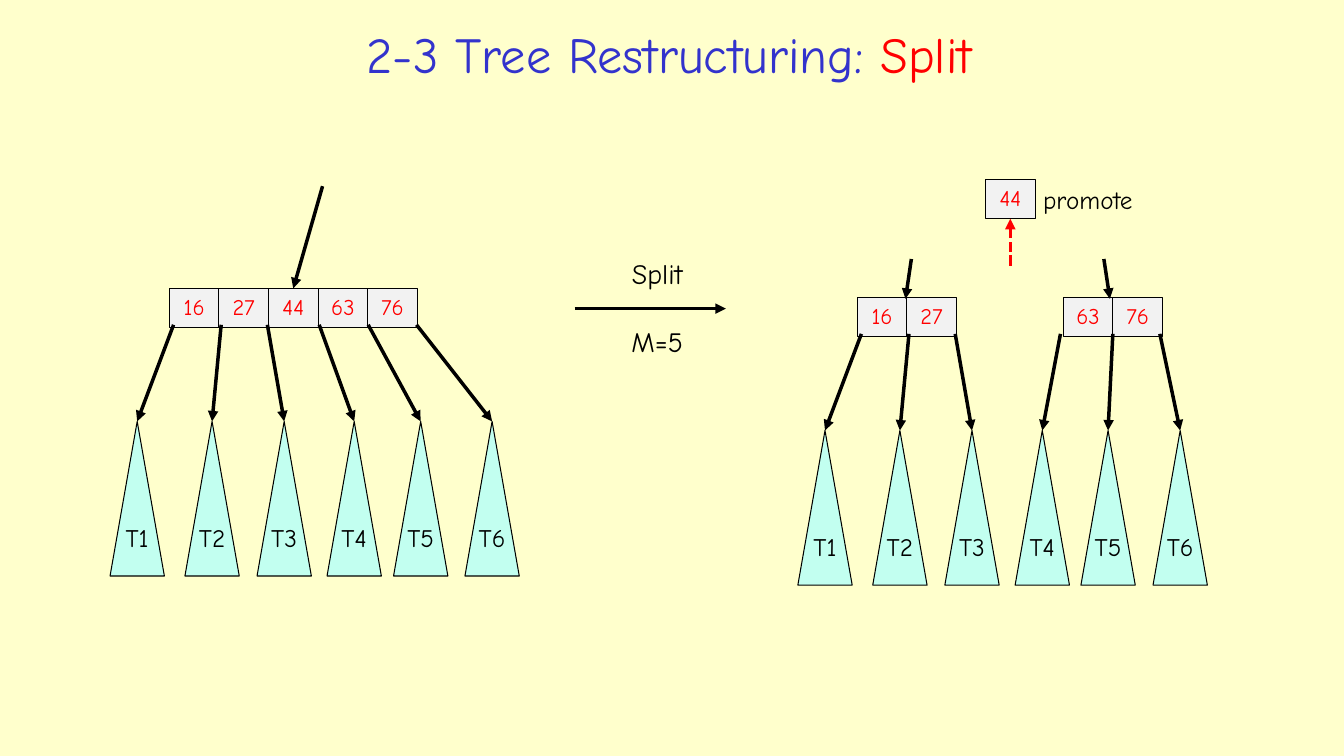
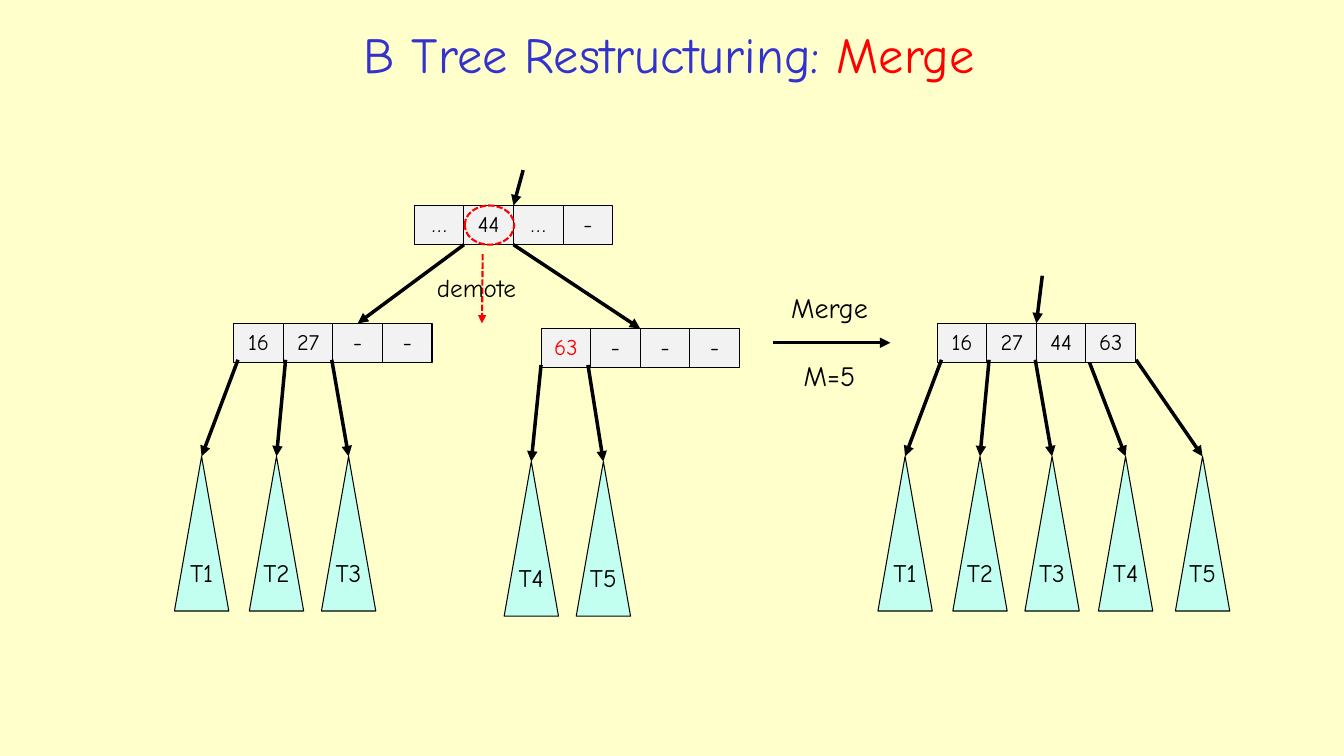
from dataclasses import dataclass

from lxml import etree
from pptx import Presentation
from pptx.dml.color import RGBColor
from pptx.enum.dml import MSO_LINE
from pptx.enum.shapes import MSO_CONNECTOR, MSO_SHAPE
from pptx.enum.text import MSO_ANCHOR, PP_ALIGN
from pptx.oxml.ns import qn
from pptx.util import Pt

STRAIGHT = MSO_CONNECTOR.STRAIGHT
RECTANGLE, TRIANGLE, OVAL = MSO_SHAPE.RECTANGLE, MSO_SHAPE.ISOSCELES_TRIANGLE, MSO_SHAPE.OVAL
DASH = MSO_LINE.SQUARE_DOT
LEFT, CENTER = PP_ALIGN.LEFT, PP_ALIGN.CENTER
TOP_ANCHOR, MIDDLE_ANCHOR = MSO_ANCHOR.TOP, MSO_ANCHOR.MIDDLE
TOP, BOTTOM = 0, 2
TITLE_ONLY = 5


@dataclass(frozen=True)
class Theme:
    font: str = "Comic Neue"
    background: str = "FFFFCC"
    title: str = "3333CC"
    accent: str = "FF0000"
    ink: str = "000000"
    key_fill: str = "F2F2F2"
    subtree_fill: str = "C2FFF0"
    title_size: float = 36
    step_size: float = 20
    label_size: float = 18
    key_size: float = 16
    outline: float = 0.75
    thin: float = 1.5
    thick: float = 2.5


THEME = Theme()
KEY_WIDTH, KEY_HEIGHT = 35.4, 28
SUBTREE_WIDTH, SUBTREE_HEIGHT = 38.8, 110.4
SUBTREE_DROP, POINTER_DROP = 95, 26

# Each child of a node: pointer start and subtree apex, measured from the node's left edge
FIRST_CHILDREN = ((3, -23), (37, 30.5), (70, 82))


@dataclass(frozen=True)
class Joint:
    """An arrow end fixed to a connection site of a shape."""
    shape: object
    site: int


def rgb(color):
    return RGBColor.from_string(color)


def write(text_frame, *paragraphs, size, color=THEME.ink, align=CENTER,
          anchor=TOP_ANCHOR, wrap=False, gap=0):
    """Fill a text frame; a paragraph is a string or a list of (text, color) runs."""
    text_frame.word_wrap = wrap
    text_frame.vertical_anchor = anchor
    for index, content in enumerate(paragraphs):
        paragraph = text_frame.add_paragraph() if index else text_frame.paragraphs[0]
        paragraph.alignment = align
        if index:
            paragraph.space_before = Pt(gap)
        runs = [(content, color)] if isinstance(content, str) else content
        for text, run_color in runs:
            run = paragraph.add_run()
            run.text = text
            run.font.name = THEME.font
            run.font.size = Pt(size)
            run.font.color.rgb = rgb(run_color)


def add_text(slide, left, top, width, height, *paragraphs, **text_format):
    box = slide.shapes.add_textbox(Pt(left), Pt(top), Pt(width), Pt(height))
    write(box.text_frame, *paragraphs, **text_format)


def add_shape(slide, kind, left, top, width, height, fill=None,
              line=THEME.ink, line_width=THEME.outline):
    shape = slide.shapes.add_shape(kind, Pt(left), Pt(top), Pt(width), Pt(height))
    shape.shadow.inherit = False
    if fill:
        shape.fill.solid()
        shape.fill.fore_color.rgb = rgb(fill)
    else:
        shape.fill.background()
    shape.line.color.rgb = rgb(line)
    shape.line.width = Pt(line_width)
    return shape


def add_arrow(slide, start, end, color=THEME.ink, width=THEME.thick, dash=None):
    """Draw an arrow between two ends, each a point or a Joint."""
    points = [(0, 0) if isinstance(place, Joint) else place for place in (start, end)]
    arrow = slide.shapes.add_connector(
        STRAIGHT, *(Pt(value) for point in points for value in point))
    if isinstance(start, Joint):
        arrow.begin_connect(start.shape, start.site)
    if isinstance(end, Joint):
        arrow.end_connect(end.shape, end.site)
    arrow.line.color.rgb = rgb(color)
    arrow.line.width = Pt(width)
    if dash:
        arrow.line.dash_style = dash
    line = arrow.line._get_or_add_ln()
    etree.SubElement(line, qn("a:tailEnd"), type="triangle")
    etree.SubElement(arrow._element.spPr, qn("a:effectLst"))


def add_keys(slide, left, top, keys, color):
    """Draw a row of key cells and return the cells."""
    cells = []
    for index, key in enumerate(keys):
        cell = add_shape(slide, RECTANGLE, left + index * KEY_WIDTH, top,
                         KEY_WIDTH, KEY_HEIGHT, THEME.key_fill)
        key_color = THEME.accent if key == "63" else color
        write(cell.text_frame, key, size=THEME.key_size, color=key_color, wrap=True)
        cells.append(cell)
    return cells


def add_node(slide, left, top, keys, children, first=1, color=THEME.ink):
    """Draw a node with its subtrees, numbered from first, and return its key cells."""
    cells = add_keys(slide, left, top, keys, color)
    for number, (start, apex) in enumerate(children, first):
        subtree = add_shape(slide, TRIANGLE, left + apex - SUBTREE_WIDTH / 2,
                            top + SUBTREE_DROP, SUBTREE_WIDTH, SUBTREE_HEIGHT,
                            THEME.subtree_fill)
        write(subtree.text_frame, f"T{number}", size=THEME.label_size,
              anchor=MIDDLE_ANCHOR)
        add_arrow(slide, (left + start, top + POINTER_DROP), Joint(subtree, TOP))
    return cells


def add_step(slide, left, top, width, name, label_shift):
    """Draw the arrow of one step, with its name above and the order below."""
    add_arrow(slide, (left, top), (left + width, top))
    add_text(slide, left + label_shift, top - 40.5, width, 80, name, "M=5",
             size=THEME.step_size, gap=24)


def add_titled_slide(presentation, subject, operation):
    slide = presentation.slides.add_slide(presentation.slide_layouts[TITLE_ONLY])
    write(slide.shapes.title.text_frame,
          [(subject + ": ", THEME.title), (operation, THEME.accent)],
          size=THEME.title_size, anchor=MIDDLE_ANCHOR, wrap=True)
    return slide


def build_split(presentation):
    slide = add_titled_slide(presentation, "2-3 Tree Restructuring", "Split")

    full_node = add_node(slide, 121, 206, ("16", "27", "44", "63", "76"),
                         FIRST_CHILDREN + ((107, 132), (142, 179.5), (176.5, 230.5)),
                         color=THEME.accent)
    add_arrow(slide, (230.4, 133), Joint(full_node[2], TOP))

    add_step(slide, 410.5, 220.5, 108, "Split", label_shift=5)

    halves_top = 212.5
    add_node(slide, 612.3, halves_top, ("16", "27"), FIRST_CHILDREN, color=THEME.accent)
    add_node(slide, 759.5, halves_top, ("63", "76"),
             ((-2, -15), (35.4, 32), (69, 83.5)), first=4, color=THEME.accent)
    for start, end in ((651, 646.8), (788.5, 792.8)):
        add_arrow(slide, (start, 185), (end, halves_top + 1))

    promoted, = add_keys(slide, 704, 128.3, ("44",), THEME.accent)
    add_text(slide, 738, 128.3, 85, 29, "promote", size=THEME.label_size, align=LEFT)
    add_arrow(slide, (721.7, 190), Joint(promoted, BOTTOM), THEME.accent, dash=DASH)


def build_merge(presentation):
    slide = add_titled_slide(presentation, "B Tree Restructuring", "Merge")

    left_node = add_node(slide, 167, 231, ("16", "27", "-", "-"), FIRST_CHILDREN)
    right_left, right_top = 386.5, 234.7
    add_node(slide, right_left, right_top, ("63", "-", "-", "-"),
             ((0, -7), (33.5, 44.5)), first=4)

    parent_left, parent_top = 296, 146.8
    parent_bottom = parent_top + KEY_HEIGHT
    demoted_left = parent_left + KEY_WIDTH
    demoted_right = demoted_left + KEY_WIDTH
    add_keys(slide, parent_left, parent_top, ("…", "44", "…", "-"), THEME.ink)
    add_arrow(slide, (373.7, 121.5), (demoted_right, parent_top))
    add_arrow(slide, (demoted_left, parent_bottom), Joint(left_node[2], TOP))
    add_arrow(slide, (demoted_right, parent_bottom),
              (right_left + 2 * KEY_WIDTH, right_top))

    add_shape(slide, OVAL, demoted_left + 0.5, parent_top, KEY_WIDTH, KEY_HEIGHT,
              line=THEME.accent, line_width=THEME.thin).line.dash_style = DASH
    add_arrow(slide, (344.8, 181.5), (344.3, 231), THEME.accent, THEME.thin, DASH)
    add_text(slide, 305, 190.8, 78, 29, "demote", size=THEME.label_size, align=LEFT)

    add_step(slide, 552, 244.8, 84, "Merge", label_shift=-1.5)

    merged_left, merged_top = 669.5, 231
    add_node(slide, merged_left, merged_top, ("16", "27", "44"),
             FIRST_CHILDREN + ((108, 134.5), (142, 189.5)))
    # The demoted neighbour is black once it has been merged
    last_key = add_shape(slide, RECTANGLE, merged_left + 3 * KEY_WIDTH, merged_top,
                         KEY_WIDTH, KEY_HEIGHT, THEME.key_fill)
    write(last_key.text_frame, "63", size=THEME.key_size, wrap=True)
    add_arrow(slide, (744.5, 197), (merged_left + 2 * KEY_WIDTH, merged_top))


def main():
    presentation = Presentation()
    presentation.slide_width, presentation.slide_height = Pt(960), Pt(540)
    background = presentation.slide_master.background.fill
    background.solid()
    background.fore_color.rgb = rgb(THEME.background)
    title = presentation.slide_layouts[TITLE_ONLY].placeholders[0]
    title.left, title.top, title.width, title.height = Pt(70), Pt(11), Pt(816), Pt(54.5)
    build_split(presentation)
    build_merge(presentation)
    presentation.save("out.pptx")


if __name__ == "__main__":
    main()
